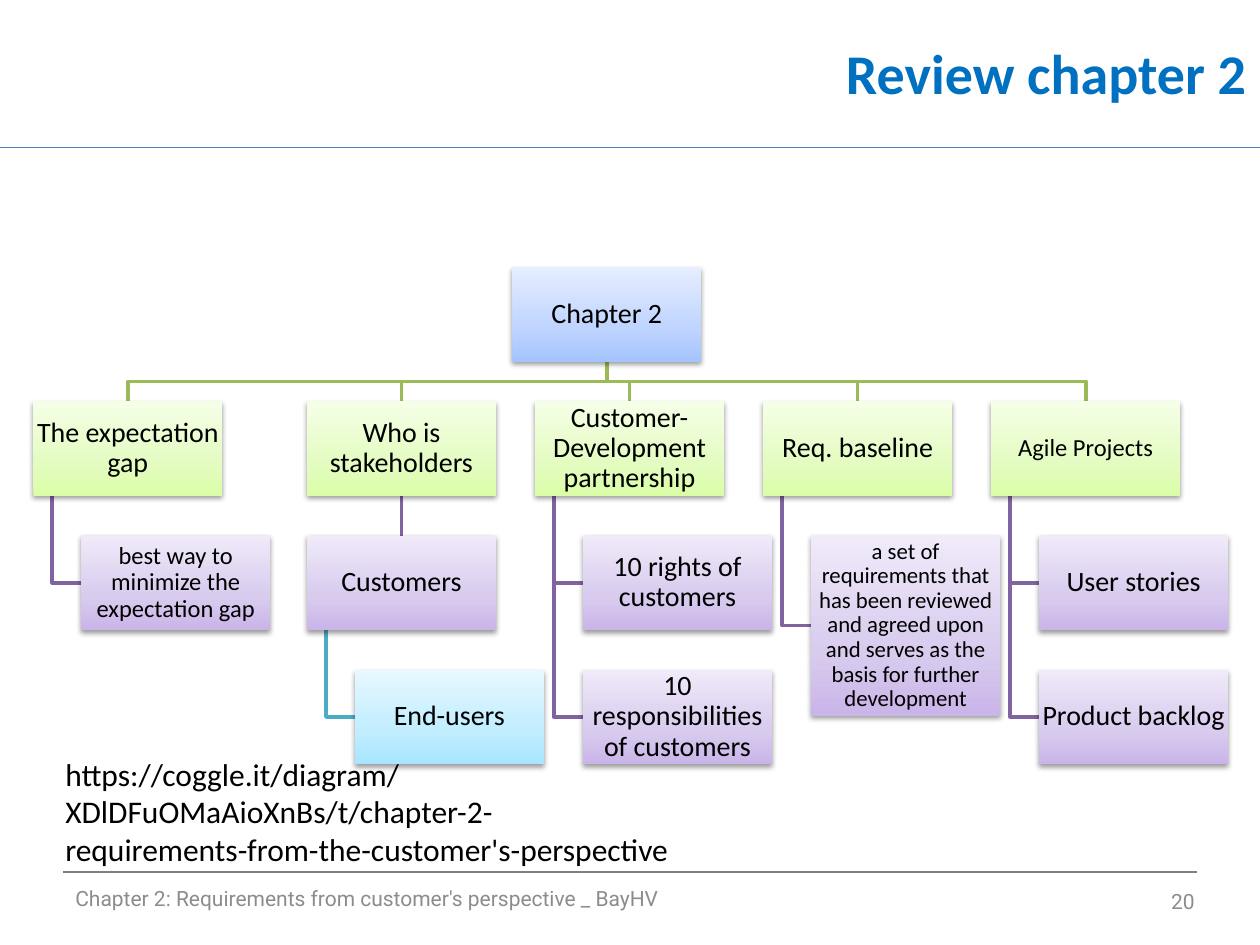
from dataclasses import dataclass
from typing import NamedTuple, Optional

from lxml.etree import SubElement
from pptx import Presentation
from pptx.dml.color import RGBColor
from pptx.enum.shapes import MSO_CONNECTOR, MSO_SHAPE
from pptx.enum.text import MSO_ANCHOR, PP_ALIGN
from pptx.oxml.ns import qn
from pptx.util import Inches, Pt


@dataclass(frozen=True)
class Theme:
    sans: str = "Calibri"
    footer_font: str = "Roboto"
    title: str = "0070C0"
    text: str = "000000"
    muted: str = "8C8C8C"
    title_rule: str = "4B7EBC"
    footer_rule: str = "808080"
    title_size: int = 32
    link_size: int = 18
    node_size: int = 16
    small_size: int = 14
    tiny_size: int = 13
    footer_size: int = 12


class Level(NamedTuple):
    stops: tuple[str, str, str]
    line: str


class Box(NamedTuple):
    x: float
    y: float
    w: float
    h: float


@dataclass(frozen=True)
class Node:
    text: str
    col: float
    row: int
    level: int
    parent: Optional[str] = None
    size: int = Theme.node_size
    height: float = 0.75

    @property
    def box(self) -> Box:
        return Box(LEFT + self.col * COL, TOP + self.row * ROW, NODE_W, self.height)


LEFT, TOP, COL, ROW = 0.265, 2.12, 1.81, 1.065
NODE_W, HANG, INDENT = 1.5, 0.15, 0.21
T = Theme()
LEVELS = [
    Level(("A4C4FF", "BFD4FF", "E6EEFF"), ""),
    Level(("DAFDA7", "E4FCC2", "F5FFE7"), "9BBB59"),
    Level(("C9B5E8", "D8CBEE", "F0EAF9"), "8064A2"),
    Level(("A7E6FF", "C1EDFF", "E7F8FF"), "4BACC6"),
]
ROOT, GAP, WHO = "Chapter 2", "The expectation gap", "Who is stakeholders"
PARTNER, BASELINE, AGILE = "Customer-Development partnership", "Req. baseline", "Agile Projects"
CUSTOMERS = "Customers"
NODES = [
    Node(ROOT, 2.1, 0, 0),
    Node(GAP, 0, 1, 1, ROOT),
    Node("best way to minimize the expectation gap", INDENT, 2, 2, GAP, T.small_size),
    Node(WHO, 1.2, 1, 1, ROOT),
    Node(CUSTOMERS, 1.2, 2, 2, WHO),
    Node("End-users", 1.2 + INDENT, 3, 3, CUSTOMERS),
    Node(PARTNER, 2.2, 1, 1, ROOT),
    Node("10 rights of customers", 2.2 + INDENT, 2, 2, PARTNER),
    Node("10 responsibilities of customers", 2.2 + INDENT, 3, 2, PARTNER),
    Node(BASELINE, 3.2, 1, 1, ROOT),
    Node("a set of requirements that has been reviewed and agreed upon "
         "and serves as the basis for further development",
         3.2 + INDENT, 2, 2, BASELINE, T.tiny_size, 1.43),
    Node(AGILE, 4.2, 1, 1, ROOT, T.small_size),
    Node("User stories", 4.2 + INDENT, 2, 2, AGILE),
    Node("Product backlog", 4.2 + INDENT, 3, 2, AGILE),
]


def rgb(color: str) -> RGBColor:
    return RGBColor.from_string(color)


def write(s, text: str, size: int, color: str, align=PP_ALIGN.LEFT,
          anchor=MSO_ANCHOR.MIDDLE, font: str = T.sans, bold: bool = False):
    tf = s.text_frame
    tf.word_wrap = True
    tf.vertical_anchor = anchor
    p = tf.paragraphs[0]
    p.text = text
    p.alignment = align
    p.font.name, p.font.size, p.font.bold = font, Pt(size), bold
    p.font.color.rgb = rgb(color)
    return tf


def add_text(slide, box: Box, *args, **kwargs) -> None:
    s = slide.shapes.add_textbox(*map(Inches, box))
    write(s, *args, **kwargs)


def add_path(slide, points: list[tuple[float, float]], color: str, width: float) -> None:
    pts = [(Inches(x), Inches(y)) for x, y in points]
    if len(pts) == 2:
        s = slide.shapes.add_connector(MSO_CONNECTOR.STRAIGHT, *pts[0], *pts[1])
        SubElement(s._element.spPr, qn("a:effectLst"))
    else:
        builder = slide.shapes.build_freeform(*pts[0])
        builder.add_line_segments(pts[1:], close=False)
        s = builder.convert_to_shape()
        s.fill.background()
        s.shadow.inherit = False
    s.line.color.rgb = rgb(color)
    s.line.width = Pt(width)


def link_nodes(slide, parent: Node, child: Node) -> None:
    a, b = parent.box, child.box
    bottom, start, end = a.y + a.h, a.x + a.w / 2, b.x + b.w / 2
    if parent.row == 0:
        mid = (bottom + b.y) / 2
        points = [(start, bottom), (start, mid), (end, mid), (end, b.y)]
    elif parent.col == child.col:
        points = [(start, bottom), (end, b.y)]
    else:
        x, y = a.x + HANG, b.y + b.h / 2
        points = [(x, bottom), (x, y), (b.x, y)]
    add_path(slide, points, LEVELS[child.level].line, 2)


def add_color(parent, color: str):
    return SubElement(parent, qn("a:srgbClr"), val=color)


def add_node(slide, node: Node) -> None:
    s = slide.shapes.add_shape(MSO_SHAPE.RECTANGLE, *map(Inches, node.box))
    s.line.fill.background()
    s.shadow.inherit = False
    s.fill.gradient()
    s.fill.gradient_angle = 90
    stops = s._element.spPr.find(qn("a:gradFill")).find(qn("a:gsLst"))
    for gs in list(stops):
        stops.remove(gs)
    for pos, color in zip((0, 35000, 100000), LEVELS[node.level].stops):
        add_color(SubElement(stops, qn("a:gs"), pos=str(pos)), color)
    effects = s._element.spPr.find(qn("a:effectLst"))
    shadow = SubElement(effects, qn("a:outerShdw"), blurRad=str(Pt(3.1)),
                        dist=str(Pt(1.6)), dir="5400000", rotWithShape="0")
    SubElement(add_color(shadow, T.text), qn("a:alpha"), val="38000")
    tf = write(s, node.text, node.size, T.text, PP_ALIGN.CENTER)
    tf.margin_left = tf.margin_right = tf.margin_top = tf.margin_bottom = Inches(0.01)
    tf.paragraphs[0].line_spacing = 0.9


def main() -> None:
    prs = Presentation()
    prs.slide_width, prs.slide_height = Inches(10), Inches(7.5)
    slide = prs.slides.add_slide(prs.slide_layouts[6])
    add_path(slide, [(0, 1.17), (10, 1.17)], T.title_rule, 0.75)
    add_path(slide, [(0.5, 6.92), (9.5, 6.92)], T.footer_rule, 0.75)
    add_text(slide, Box(2.9, 0, 7.09, 1.15), "Review chapter 2", T.title_size,
             T.title, PP_ALIGN.RIGHT, bold=True)
    add_text(slide, Box(0.5, 6.93, 6.67, 0.4),
             "Chapter 2: Requirements from customer's perspective _ BayHV",
             T.footer_size, T.muted, font=T.footer_font)
    add_text(slide, Box(7.25, 6.95, 2.33, 0.4), "20", T.footer_size, T.muted,
             PP_ALIGN.RIGHT, font=T.footer_font)
    by_text = {node.text: node for node in NODES}
    for node in NODES:
        if node.parent:
            link_nodes(slide, by_text[node.parent], node)
    for node in NODES:
        add_node(slide, node)
    add_text(slide, Box(0.42, 5.94, 5, 1.01),
             "https://coggle.it/diagram/XDlDFuOMaAioXnBs/t/"
             "chapter-2-requirements-from-the-customer's-perspective",
             T.link_size, T.text, anchor=MSO_ANCHOR.TOP)
    prs.save("out.pptx")


if __name__ == "__main__":
    main()
